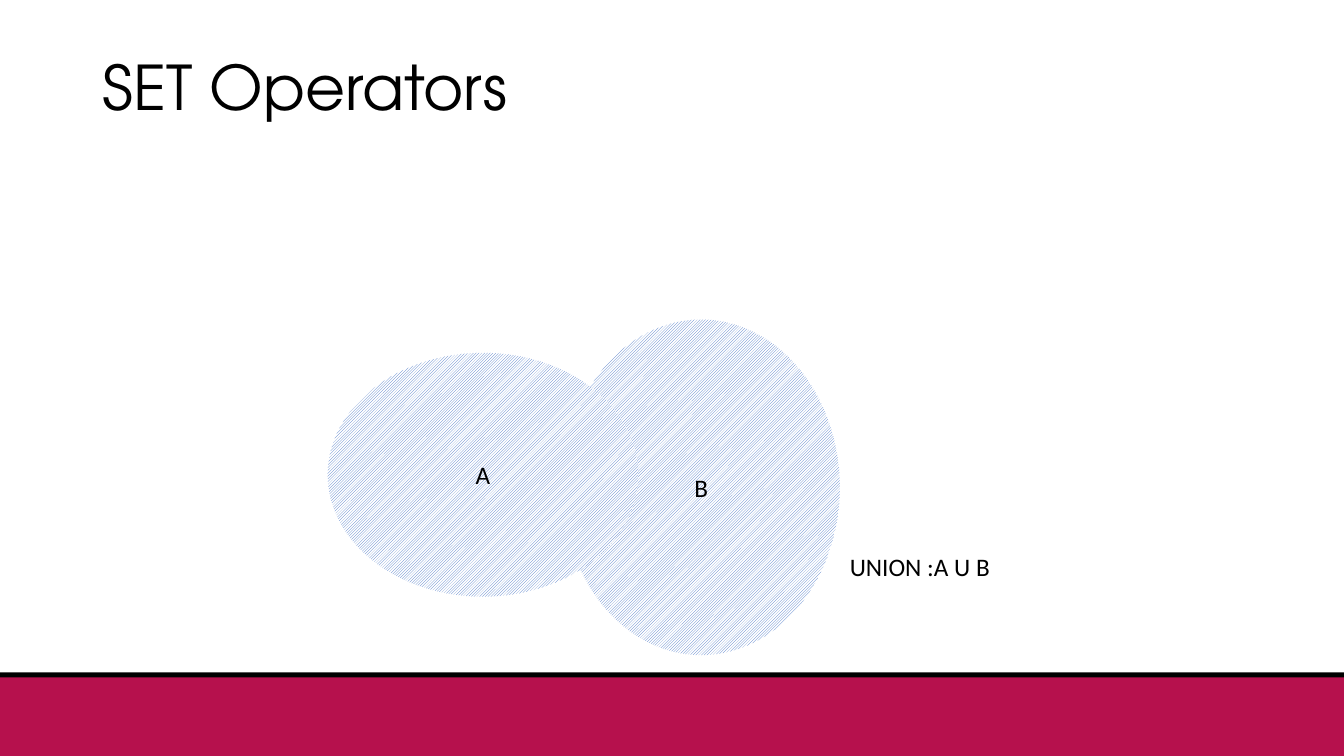
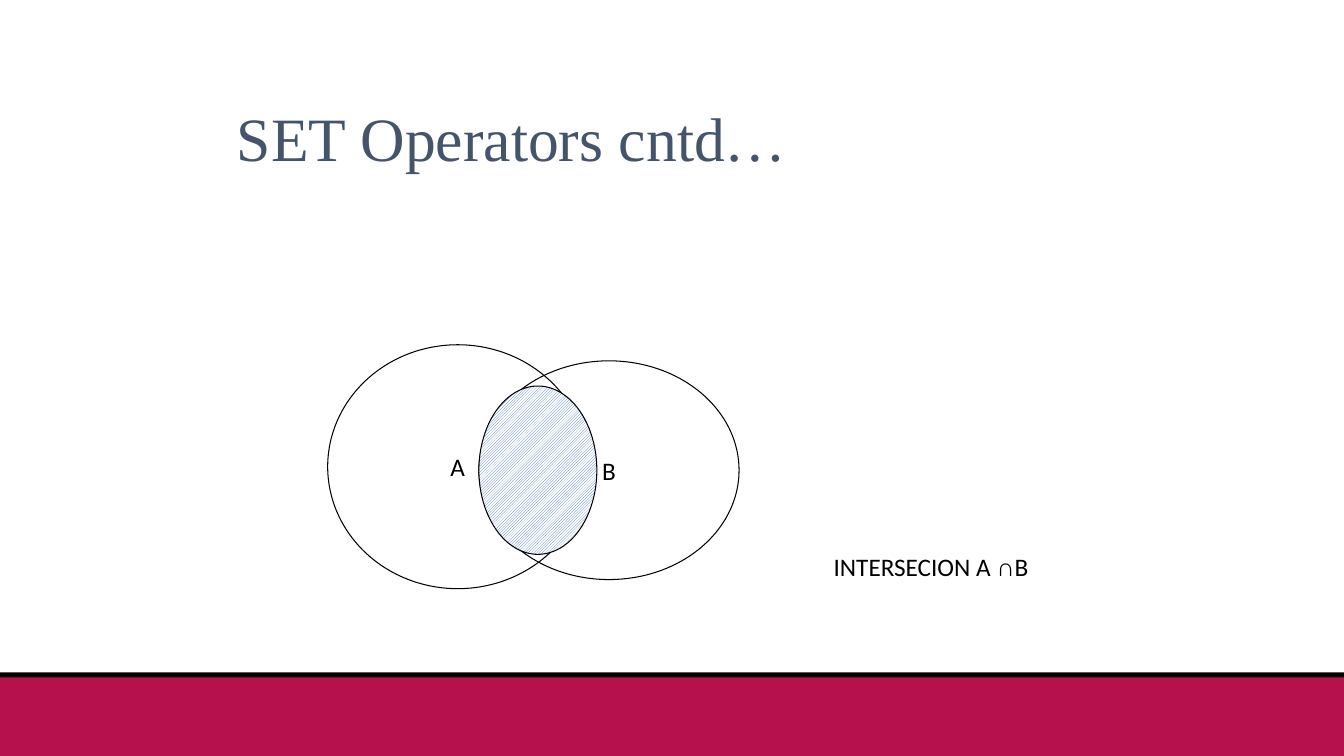
import pptx
import pptx.util
import pptx.dml.color
import pptx.enum.dml
import pptx.enum.shapes
import pptx.enum.text

Inches = pptx.util.Inches
Pt = pptx.util.Pt
SHAPES = pptx.enum.shapes.MSO_SHAPE
ANCHOR = pptx.enum.text.MSO_ANCHOR
ALIGN = pptx.enum.text.PP_ALIGN

COLOURS = {
    "black": "000000",
    "white": "FFFFFF",
    "crimson": "B6114D",
    "hatch": "4472C4",
    "slate": "44546A",
}
SLIDE_WIDTH, SLIDE_HEIGHT = 13.33, 7.5
BODY_FONT = "Calibri"
TITLE_ONLY = 5


def colour(name):
    return pptx.dml.color.RGBColor.from_string(COLOURS[name])


def place(shape, box):
    shape.left, shape.top, shape.width, shape.height = map(Inches, box)


def add_run(paragraph, text, font=BODY_FONT, size=18, ink="black"):
    run = paragraph.add_run()
    run.text = text
    run.font.name = font
    run.font.size = Pt(size)
    run.font.color.rgb = colour(ink)


def add_shape(slide, kind, box, fill=None, outlined=False):
    """Add a preset shape; fill is a colour name, "hatch" for the pattern, or None."""
    shape = slide.shapes.add_shape(kind, *map(Inches, box))
    shape.shadow.inherit = False
    if fill is None:
        shape.fill.background()
    elif fill == "hatch":
        shape.fill.patterned()
        shape.fill.pattern = pptx.enum.dml.MSO_PATTERN.DARK_UPWARD_DIAGONAL
        shape.fill.fore_color.rgb = colour("hatch")
        shape.fill.back_color.rgb = colour("white")
    else:
        shape.fill.solid()
        shape.fill.fore_color.rgb = colour(fill)
    if outlined:
        shape.line.color.rgb = colour("black")
        shape.line.width = Pt(0.75)
    else:
        shape.line.fill.background()
    return shape


def add_footer_bands(slide):
    for top, fill in ((6.67, "black"), (6.72, "crimson")):
        add_shape(slide, SHAPES.RECTANGLE,
                  (0, top, SLIDE_WIDTH, SLIDE_HEIGHT - top), fill)


def add_set(slide, box, label=None, fill=None, outlined=False):
    ellipse = add_shape(slide, SHAPES.OVAL, box, fill, outlined)
    if label:
        frame = ellipse.text_frame
        frame.word_wrap = False
        frame.vertical_anchor = ANCHOR.MIDDLE
        paragraph = frame.paragraphs[0]
        paragraph.alignment = ALIGN.CENTER
        add_run(paragraph, label)


def add_caption(slide, box, runs):
    """Write (text, font) runs on one line."""
    frame = slide.shapes.add_textbox(*map(Inches, box)).text_frame
    frame.word_wrap = True
    for text, font in runs:
        add_run(frame.paragraphs[0], text, font)


def add_titled_slide(presentation, text, box, font, ink, anchor, spacing):
    slide = presentation.slides.add_slide(presentation.slide_layouts[TITLE_ONLY])
    add_footer_bands(slide)
    title = slide.shapes.title
    place(title, box)
    frame = title.text_frame
    frame.word_wrap = True
    frame.auto_size = pptx.enum.text.MSO_AUTO_SIZE.NONE
    frame.vertical_anchor = anchor
    paragraph = frame.paragraphs[0]
    paragraph.alignment = ALIGN.LEFT
    paragraph.line_spacing = spacing
    add_run(paragraph, text, font, 44, ink)
    return slide


def add_union_slide(presentation):
    slide = add_titled_slide(
        presentation, "SET Operators", (0.92, 0.4, 11.5, 1),
        "TeX Gyre Adventor", "black", ANCHOR.MIDDLE, 0.9)
    add_set(slide, (5.58, 3.17, 2.75, 3.33), "B", "hatch")
    add_set(slide, (3.25, 3.5, 3.08, 2.42), "A", "hatch")
    add_caption(slide, (8.33, 5.42, 2.75, 0.4), [("UNION :A U B", BODY_FONT)])


def add_intersection_slide(presentation):
    slide = add_titled_slide(
        presentation, "SET Operators cntd…", (2.25, 0.52, 8.92, 1.25),
        "Times New Roman", "slate", ANCHOR.BOTTOM, 0.8)
    add_set(slide, (3.25, 3.42, 2.58, 2.42), "A", "white", outlined=True)
    add_set(slide, (4.75, 3.58, 2.58, 2.17), "B", outlined=True)
    add_set(slide, (4.75, 3.83, 1.17, 1.67), fill="hatch", outlined=True)
    add_caption(slide, (8.17, 5.42, 2.92, 0.4),
                [("INTERSECION A ", BODY_FONT), ("∩", "Arial"), ("B", BODY_FONT)])


def main():
    presentation = pptx.Presentation()
    presentation.slide_width = Inches(SLIDE_WIDTH)
    presentation.slide_height = Inches(SLIDE_HEIGHT)
    add_union_slide(presentation)
    add_intersection_slide(presentation)
    presentation.save("out.pptx")


if __name__ == "__main__":
    main()
